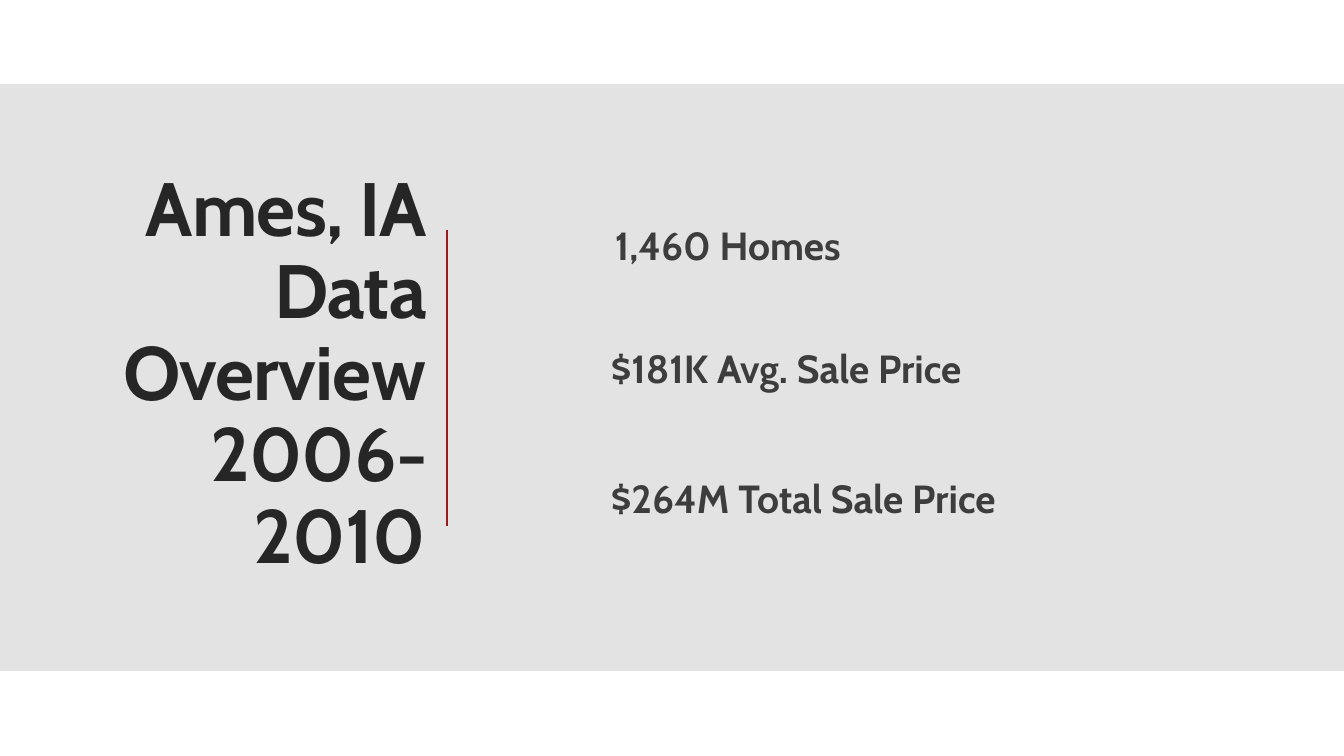
from dataclasses import dataclass

from lxml import etree
from pptx import Presentation
from pptx.dml.color import RGBColor
from pptx.enum.shapes import MSO_CONNECTOR, MSO_SHAPE
from pptx.enum.text import MSO_ANCHOR, MSO_AUTO_SIZE, PP_ALIGN
from pptx.oxml.ns import qn
from pptx.util import Emu, Pt

RECTANGLE = MSO_SHAPE.RECTANGLE
STRAIGHT = MSO_CONNECTOR.STRAIGHT
MIDDLE = MSO_ANCHOR.MIDDLE
TOP = MSO_ANCHOR.TOP
NO_FIT = MSO_AUTO_SIZE.NONE
GROW = MSO_AUTO_SIZE.SHAPE_TO_FIT_TEXT
RIGHT = PP_ALIGN.RIGHT
LEFT = PP_ALIGN.LEFT
TITLE_ONLY = 5


@dataclass(frozen=True)
class Theme:
    font: str = "Cabin"
    heading: str = "262626"
    fact: str = "3D3D3D"
    band: str = "C8C8C8"
    band_opacity: int = 50
    rule: str = "991B1B"
    heading_size: int = 54
    fact_size: int = 28
    rule_width: int = 1
    heading_tracking: int = -60


def px(length):
    return Emu(round(length * 914400 / 100.8))


def apply(target, formats):
    for name, value in formats.items():
        setattr(target, name, value)


class OverviewSlide:
    def __init__(self, deck, theme):
        self.theme = theme
        self.slide = deck.slides.add_slide(deck.slide_layouts[TITLE_ONLY])

    def set_text(self, frame, text, size, color, align):
        paragraph = frame.paragraphs[0]
        paragraph.text = text
        paragraph.alignment = align
        for run in paragraph.runs:
            apply(run.font, {"name": self.theme.font, "size": Pt(size), "bold": True})
            run.font.color.rgb = RGBColor.from_string(color)
        return paragraph

    def band(self, left, top, width, height):
        band = self.slide.shapes.add_shape(RECTANGLE, *map(px, (left, top, width, height)))
        band.shadow.inherit = False
        band.fill.solid()
        band.fill.fore_color.rgb = RGBColor.from_string(self.theme.band)
        band.line.fill.background()
        tint = band.element.find(".//" + qn("a:srgbClr"))
        etree.SubElement(tint, qn("a:alpha")).set("val", str(self.theme.band_opacity * 1000))
        self.slide.shapes.title.element.addprevious(band.element)

    def heading(self, text, left, top, width, height, bottom):
        title = self.slide.shapes.title
        apply(title, {"left": px(left), "top": px(top), "width": px(width), "height": px(height)})
        frame = title.text_frame
        apply(frame, {
            "word_wrap": True,
            "auto_size": NO_FIT,
            "vertical_anchor": MIDDLE,
            "margin_bottom": px(bottom),
        })
        paragraph = self.set_text(frame, text, self.theme.heading_size, self.theme.heading, RIGHT)
        apply(paragraph, {"line_spacing": 0.9, "space_before": Pt(0)})
        for properties in title.element.iter(qn("a:rPr")):
            properties.set("spc", str(self.theme.heading_tracking))

    def rule(self, x, top, bottom):
        rule = self.slide.shapes.add_connector(STRAIGHT, px(x), px(top), px(x), px(bottom))
        rule.line.color.rgb = RGBColor.from_string(self.theme.rule)
        rule.line.width = Pt(self.theme.rule_width)
        etree.SubElement(rule.element.spPr, qn("a:effectLst"))

    def fact(self, text, left, top, width, height):
        box = self.slide.shapes.add_textbox(*map(px, (left, top, width, height)))
        apply(box.text_frame, {"word_wrap": True, "auto_size": GROW, "vertical_anchor": TOP})
        self.set_text(box.text_frame, text, self.theme.fact_size, self.theme.fact, LEFT)


def main():
    deck = Presentation()
    apply(deck, {"slide_width": px(1344), "slide_height": px(756)})
    overview = OverviewSlide(deck, Theme())
    overview.band(0, 84, 1344, 587)
    overview.heading("Ames, IA Data Overview\v2006-2010", 29, 172, 407, 488, bottom=86)
    overview.rule(447, 230, 526)
    facts = [
        ("1,460 Homes", 605, 216, 317),
        ("$181K Avg. Sale Price", 601, 339, 421),
        ("$264M Total Sale Price", 601, 469, 443),
    ]
    for text, left, top, width in facts:
        overview.fact(text, left, top, width, 57)
    deck.save("out.pptx")


if __name__ == "__main__":
    main()
